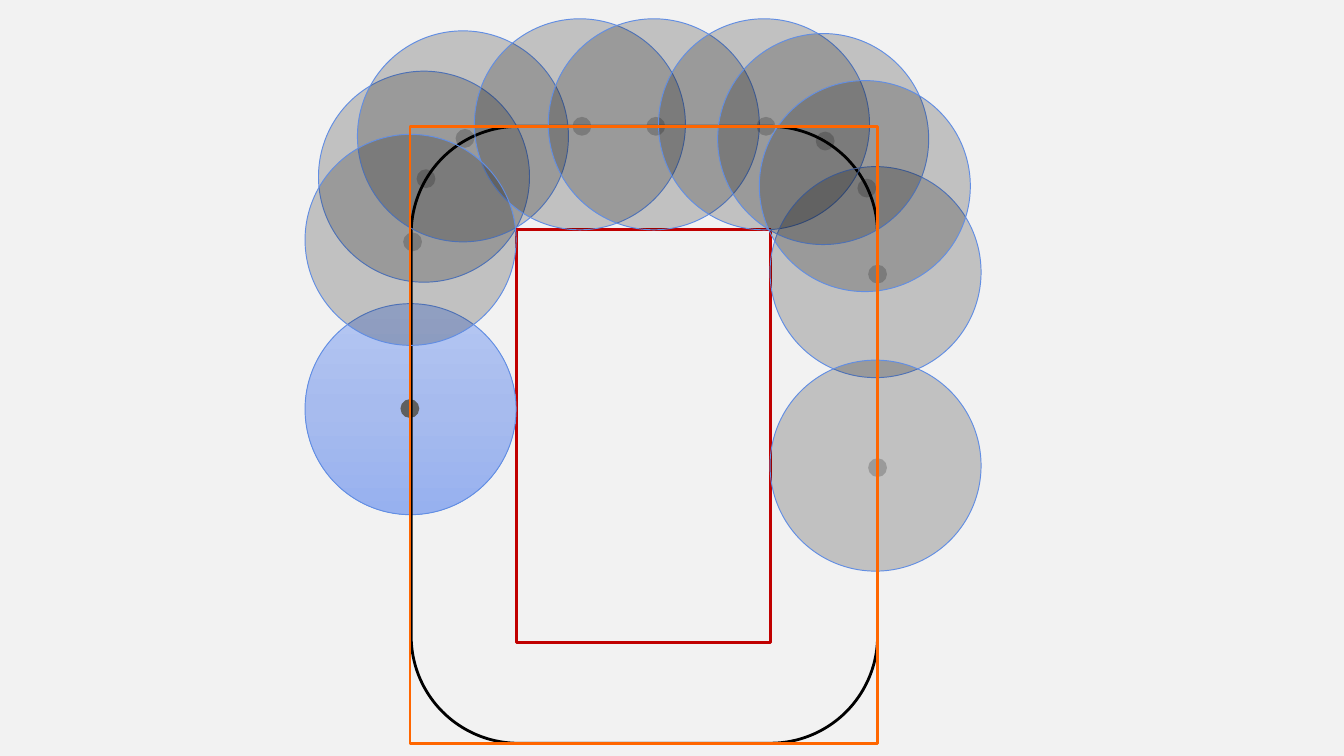
import copy
from dataclasses import dataclass
from typing import Optional

import lxml.etree
import pptx
import pptx.dml.color
import pptx.enum.shapes
import pptx.oxml.ns
import pptx.util

Inches = pptx.util.Inches
Shapes = pptx.enum.shapes.MSO_SHAPE
qn = pptx.oxml.ns.qn


@dataclass(frozen=True)
class Theme:
    background: str = "F2F2F2"
    ghost: str = "000000"
    ghost_opacity: int = 20
    disc_edge: str = "628EE3"
    robot: tuple = ("B5C7F2", "A7BBEE", "97B1EF")
    robot_center: str = "5F5F5F"
    obstacle: str = "C00000"
    rounded_path: str = "000000"
    bounding_box: str = "FF6600"
    thin: float = 0.5
    thick: float = 1.5


@dataclass(frozen=True)
class Disc:
    left: float
    top: float
    is_robot: bool = False


@dataclass(frozen=True)
class Outline:
    kind: Shapes
    left: float
    top: float
    width: float
    height: float
    color: str
    rounding: Optional[float] = None


THEME = Theme()
SLIDE_W = 10
SLIDE_H = SLIDE_W * 9 / 16
DISC_SIZE, CENTER_SIZE = 1.57, 0.14
CENTER_OFFSET = 0.73
ROBOT_CENTER_OFFSET = 0.71

# Scene from back to front
SCENE = [
    Disc(2.37, 0.53),
    Outline(Shapes.RECTANGLE, 3.84, 1.71, 1.89, 3.07, THEME.obstacle),
    Disc(2.27, 2.26, is_robot=True),
    Outline(Shapes.ROUNDED_RECTANGLE, 3.06, 0.94, 3.47, 4.59, THEME.rounded_path, 0.23),
    Disc(2.66, 0.23),
    Disc(3.53, 0.14),
    Disc(2.27, 1),
    Disc(4.08, 0.14),
    Disc(4.9, 0.14),
    Disc(5.73, 1.24),
    Disc(5.34, 0.25),
    Disc(5.65, 0.6),
    Disc(5.73, 2.68),
    Outline(Shapes.RECTANGLE, 3.05, 0.94, 3.48, 4.59, THEME.bounding_box),
]


def rgb(color: str) -> pptx.dml.color.RGBColor:
    return pptx.dml.color.RGBColor.from_string(color)


def add_figure(shapes, kind: Shapes, left: float, top: float, width: float, height: float,
               edge: Optional[str] = None, weight: float = THEME.thin):
    """Add an unfilled preset shape, with an edge if a colour is given."""
    figure = shapes.add_shape(kind, Inches(left), Inches(top), Inches(width), Inches(height))
    figure.shadow.inherit = False
    figure.fill.background()
    if edge:
        figure.line.color.rgb = rgb(edge)
        figure.line.width = pptx.util.Pt(weight)
    else:
        figure.line.fill.background()
    return figure


def fill_solid(figure, color: str, opacity: int = 100) -> None:
    figure.fill.solid()
    figure.fill.fore_color.rgb = rgb(color)
    if opacity < 100:
        tint = figure._element.spPr.find(qn("a:solidFill"))[0]
        lxml.etree.SubElement(tint, qn("a:alpha"), val=str(opacity * 1000))


def fill_gradient(figure, first: str, middle: str, last: str) -> None:
    """Fill from top to bottom through three evenly spaced colours."""
    figure.fill.gradient()
    figure.fill.gradient_angle = 270
    stop_list = figure._element.spPr.find(qn("a:gradFill")).find(qn("a:gsLst"))
    middle_stop = copy.deepcopy(stop_list[0])
    middle_stop.set("pos", "50000")
    stop_list.insert(1, middle_stop)
    for stop, color in zip(figure.fill.gradient_stops, (first, middle, last)):
        stop.color.rgb = rgb(color)


def draw_disc(slide, disc: Disc) -> None:
    """Draw one position of the robot, grouped with its center point."""
    group = slide.shapes.add_group_shape()
    body = add_figure(group.shapes, Shapes.OVAL, disc.left, disc.top,
                      DISC_SIZE, DISC_SIZE, THEME.disc_edge)
    offset = ROBOT_CENTER_OFFSET if disc.is_robot else CENTER_OFFSET
    center = add_figure(group.shapes, Shapes.OVAL, disc.left + offset, disc.top + offset,
                        CENTER_SIZE, CENTER_SIZE)
    if disc.is_robot:
        fill_gradient(body, *THEME.robot)
        fill_solid(center, THEME.robot_center)
    else:
        for part in (body, center):
            fill_solid(part, THEME.ghost, THEME.ghost_opacity)


def draw_outline(slide, outline: Outline) -> None:
    frame = add_figure(slide.shapes, outline.kind, outline.left, outline.top,
                       outline.width, outline.height, outline.color, THEME.thick)
    if outline.rounding is not None:
        frame.adjustments[0] = outline.rounding


def main() -> None:
    presentation = pptx.Presentation()
    presentation.slide_width = Inches(SLIDE_W)
    presentation.slide_height = Inches(SLIDE_H)
    slide = presentation.slides.add_slide(presentation.slide_layouts[6])

    # Backdrop
    backdrop = add_figure(slide.shapes, Shapes.RECTANGLE, 0, 0, SLIDE_W, SLIDE_H)
    fill_solid(backdrop, THEME.background)

    # Obstacle, robot positions and the paths around them
    for element in SCENE:
        if isinstance(element, Disc):
            draw_disc(slide, element)
        else:
            draw_outline(slide, element)

    presentation.save("out.pptx")


if __name__ == "__main__":
    main()
